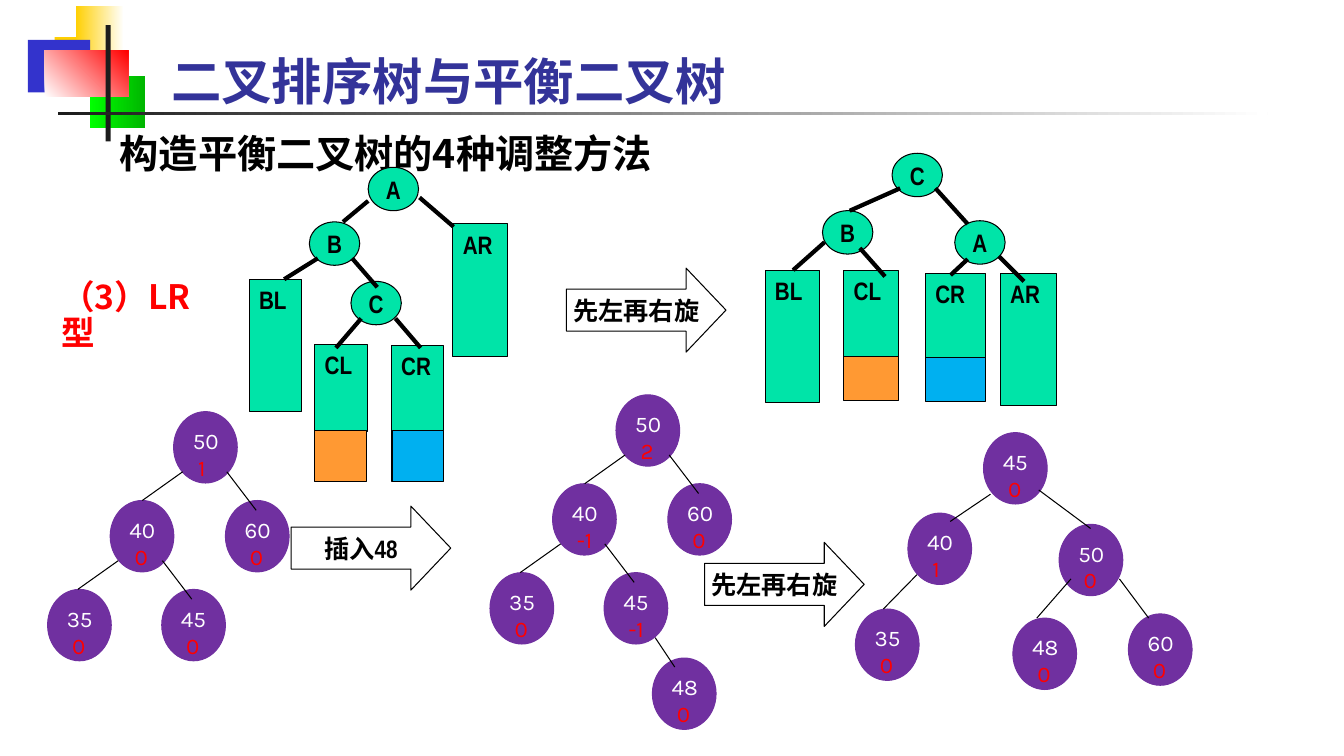
import pptx
import pptx.chart.data
import pptx.dml.color
import pptx.enum.shapes
import pptx.enum.text
import pptx.oxml.ns
import pptx.util
from lxml import etree

Pt = pptx.util.Pt
SHAPES = pptx.enum.shapes.MSO_SHAPE
ANCHOR = pptx.enum.text.MSO_ANCHOR
ALIGN = pptx.enum.text.PP_ALIGN
CJK_FONT = "Noto Sans CJK SC"

LABEL = {"size": Pt(18), "name": "Arial Narrow", "bold": True}
NUMBER = {"size": Pt(16), "name": "Karla", "bold": False}
CENTERED = {"word_wrap": False, "vertical_anchor": ANCHOR.MIDDLE}
GREEN, PURPLE, ORANGE, BLUE = "00E4A8", "7030A0", "FF9933", "00B0F0"
BLACK, WHITE, RED = "000000", "FFFFFF", "FF0000"


def color(hex_value):
    return pptx.dml.color.RGBColor.from_string(hex_value)


def set_values(target, values):
    for name, value in values.items():
        setattr(target, name, value)


def write(shape, lines, font, frame, align=ALIGN.LEFT):
    """Write (text, colour) pairs, one paragraph each."""
    text_frame = shape.text_frame
    set_values(text_frame, frame)
    for index, (text, hex_value) in enumerate(lines):
        paragraph = text_frame.add_paragraph() if index else text_frame.paragraphs[0]
        paragraph.alignment = align
        run = paragraph.add_run()
        run.text = text
        set_values(run.font, font)
        run.font.color.rgb = color(hex_value)
        east_asian = etree.SubElement(run.font._element, pptx.oxml.ns.qn("a:ea"))
        east_asian.set("typeface", CJK_FONT)


def add_shape(slide, kind, box, fill, line=None):
    shape = slide.shapes.add_shape(kind, *map(Pt, box))
    shape.shadow.inherit = False
    shape.fill.solid()
    shape.fill.fore_color.rgb = color(fill)
    if line:
        shape.line.color.rgb = color(line)
        shape.line.width = Pt(0.75)
    else:
        shape.line.fill.background()
    return shape


def add_text(slide, box, text, font, hex_value, frame):
    shape = slide.shapes.add_textbox(*map(Pt, box))
    write(shape, [(text, hex_value)], font, frame)
    return shape


def add_lines(slide, left, top, lines, width):
    for x1, y1, x2, y2 in lines:
        connector = slide.shapes.add_connector(
            pptx.enum.shapes.MSO_CONNECTOR.STRAIGHT,
            Pt(left + x1), Pt(top + y1), Pt(left + x2), Pt(top + y2))
        connector.line.color.rgb = color(BLACK)
        connector.line.width = Pt(width)
        etree.SubElement(connector.element.spPr, pptx.oxml.ns.qn("a:effectLst"))


def draw_ornament(slide, left, top):
    # Each block: box, start colour, end colour, counter-clockwise angle
    blocks = [
        ((19, 22.5, 46, 37.5), "FFCF01", None, 0),
        ((34, 0, 34.5, 37.5), "FFCF01", WHITE, 0),
        ((0, 24.5, 44.5, 37.5), "3333CC", None, 0),
        ((44.5, 50, 39, 37.5), "00FF00", "00B600", 0),
        ((12, 32, 59.5, 33), WHITE, RED, 45),
        ((55.5, 14, 3.5, 83), "1C1C1C", None, 0),
        ((21.5, 76, 864, 2.3), "1C1C1C", WHITE, 0),
    ]
    for (x, y, width, height), start, end, angle in blocks:
        shape = add_shape(slide, SHAPES.RECTANGLE, (left + x, top + y, width, height), start)
        if end:
            shape.fill.gradient()
            shape.fill.gradient_angle = angle
            for stop, hex_value in zip(shape.fill.gradient_stops, (start, end)):
                stop.color.rgb = color(hex_value)


def draw_headings(slide, left, top):
    add_text(slide, (left + 78.5, top, 510, 50.5), "二叉排序树与平衡二叉树",
             {**LABEL, "size": Pt(36)}, "333399",
             {"word_wrap": True, "vertical_anchor": ANCHOR.MIDDLE})
    add_text(slide, (left + 41.8, top + 37.5, 726, 93), "构造平衡二叉树的4种调整方法",
             {"size": Pt(28), "name": CJK_FONT, "bold": True}, BLACK,
             {"word_wrap": True, "vertical_anchor": ANCHOR.BOTTOM, "margin_bottom": Pt(37)})
    case = add_text(slide, (left, top + 164, 124, 36), "（3）LR型",
                    {"size": Pt(24), "name": CJK_FONT, "bold": True}, RED,
                    {"word_wrap": True,
                     "auto_size": pptx.enum.text.MSO_AUTO_SIZE.SHAPE_TO_FIT_TEXT})
    case.text_frame.paragraphs[0].line_spacing = 0.9


def draw_scheme(slide, left, top, subtrees, inserted, nodes, lines):
    """Draw a rotation scheme: subtree bars, inserted blocks and round nodes."""
    for text, (x, y, width, height) in subtrees.items():
        bar = add_shape(slide, SHAPES.RECTANGLE, (left + x, top + y, width, height), GREEN, BLACK)
        write(bar, [(text, BLACK)], LABEL,
              {"word_wrap": True, "vertical_anchor": ANCHOR.TOP, "margin_right": 0})
    for fill, (x, y, width, height) in inserted.items():
        add_shape(slide, SHAPES.RECTANGLE, (left + x, top + y, width, height), fill, BLACK)
    for text, (x, y) in nodes.items():
        node = add_shape(slide, SHAPES.OVAL, (left + x, top + y, 36, 31), GREEN, BLACK)
        write(node, [(text, BLACK)], LABEL, CENTERED, ALIGN.CENTER)
    add_lines(slide, left, top, lines, 3)


def draw_example(slide, left, top, nodes, lines):
    """Draw a number tree; each node is key, balance factor, x, y."""
    for key, balance, x, y in nodes:
        node = add_shape(slide, SHAPES.OVAL, (left + x, top + y, 45.5, 51), PURPLE, PURPLE)
        write(node, [(str(key), WHITE), (f" {balance}", RED)], NUMBER,
              {"word_wrap": False, "vertical_anchor": ANCHOR.TOP})
    add_lines(slide, left, top, lines, 0.75)


def draw_arrow(slide, left, top, text):
    arrow = add_shape(slide, SHAPES.RIGHT_ARROW, (left, top, 114, 60), WHITE, BLACK)
    arrow.adjustments[1] = 0.475
    write(arrow, [(text, BLACK)], LABEL, CENTERED, ALIGN.CENTER)


def main():
    presentation = pptx.Presentation()
    presentation.slide_width, presentation.slide_height = Pt(960), Pt(540)
    slide = presentation.slides.add_slide(presentation.slide_layouts[6])

    draw_ornament(slide, 20, 4)
    draw_headings(slide, 36.7, 32.5)

    # Scheme before and after the double rotation
    draw_scheme(
        slide, 178, 119.5,
        {"BL": (0, 80, 37.5, 94.5), "AR": (145.5, 40.5, 39, 94.5),
         "CL": (46.8, 126.7, 37.5, 62), "CR": (101.5, 127.5, 37.5, 62)},
        {ORANGE: (46.8, 188, 36.7, 36.7), BLUE: (102, 188, 36.7, 36.7)},
        {"A": (85, 0), "B": (43, 39), "C": (72.7, 81.5)},
        [(85, 24, 67, 39), (121.7, 21.6, 146, 42.5), (49, 65, 25, 80),
         (73.5, 65, 91.5, 85.7), (80, 108, 62, 129), (104.5, 108, 122.5, 129)])
    draw_scheme(
        slide, 546.5, 109.5,
        {"BL": (0, 83.5, 39, 94.5), "AR": (168, 85.7, 40.3, 94.5),
         "CL": (56.2, 83.5, 39, 62), "CR": (114.5, 85.7, 43.2, 62)},
        {ORANGE: (56.2, 145.5, 39, 31), BLUE: (114.5, 146, 43.2, 31)},
        {"A": (135.5, 48.2), "B": (41, 41), "C": (90.7, 0)},
        [(96.5, 25, 60.5, 41), (121.7, 25, 144.7, 50.5), (144.7, 75.6, 132.5, 87),
         (167, 73.5, 185, 91.5), (42.5, 63.5, 20, 83.5), (67.7, 67.7, 85.7, 88)])

    # Number trees: start, after inserting 48, after rotating
    places = [(90, 0), (44.7, 63.5), (127, 63.5), (0, 127), (81.5, 127)]
    edges = [(96.5, 43, 67.7, 63.5), (128, 43, 149, 70.5),
             (50.5, 106.5, 21.6, 127), (82, 106.5, 103, 134)]
    keys = (50, 40, 60, 35, 45)
    before = [(key, balance, x, y) for key, balance, (x, y)
              in zip(keys, (1, 0, 0, 0, 0), places)]
    after = [(key, balance, x, y) for key, balance, (x, y)
             in zip(keys, (2, -1, 0, 0, -1), places)]
    draw_example(slide, 34, 294, before, edges)
    draw_example(slide, 350, 282, after + [(48, 0, 116, 188)],
                 edges + [(118, 173.5, 132, 194.5)])
    draw_example(
        slide, 611, 309,
        [(45, 0, 91.5, 0), (40, 1, 37.5, 57.5), (50, 0, 145.5, 65.5),
         (35, 0, 0, 126), (48, 0, 112.5, 132.5), (60, 0, 195, 129.5)],
        [(96.5, 44, 67.7, 63.5), (131, 41, 168, 68.5), (44, 101.5, 20, 126),
         (154, 104.5, 129.6, 132.5), (188.6, 104.5, 209.5, 132.5)])

    # Step arrows
    for left, top, text in [(404.6, 191.5, "先左再右旋"), (208, 361.5, "插入48"),
                            (503.3, 387.4, "先左再右旋")]:
        draw_arrow(slide, left, top, text)

    presentation.save("out.pptx")


if __name__ == "__main__":
    main()
